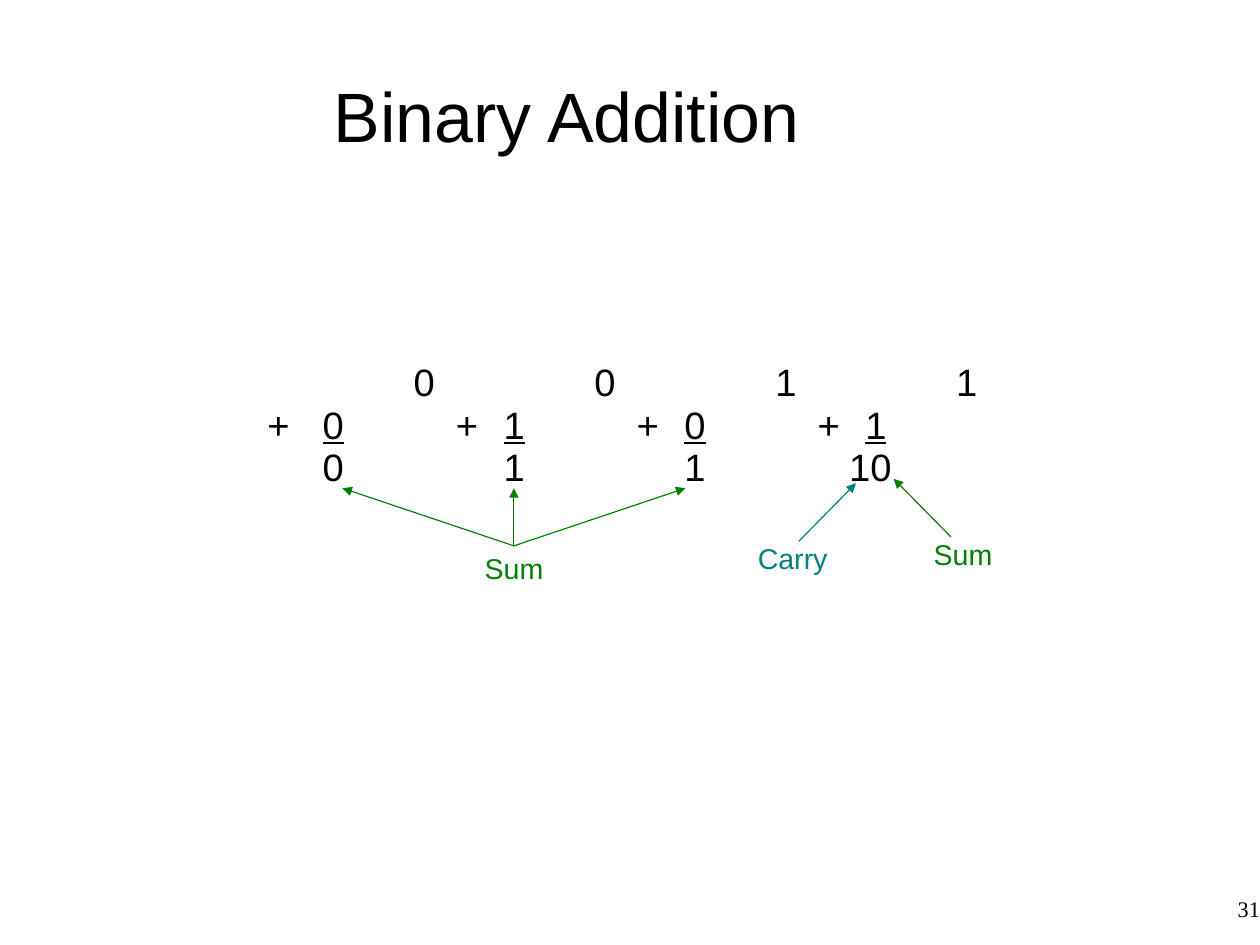
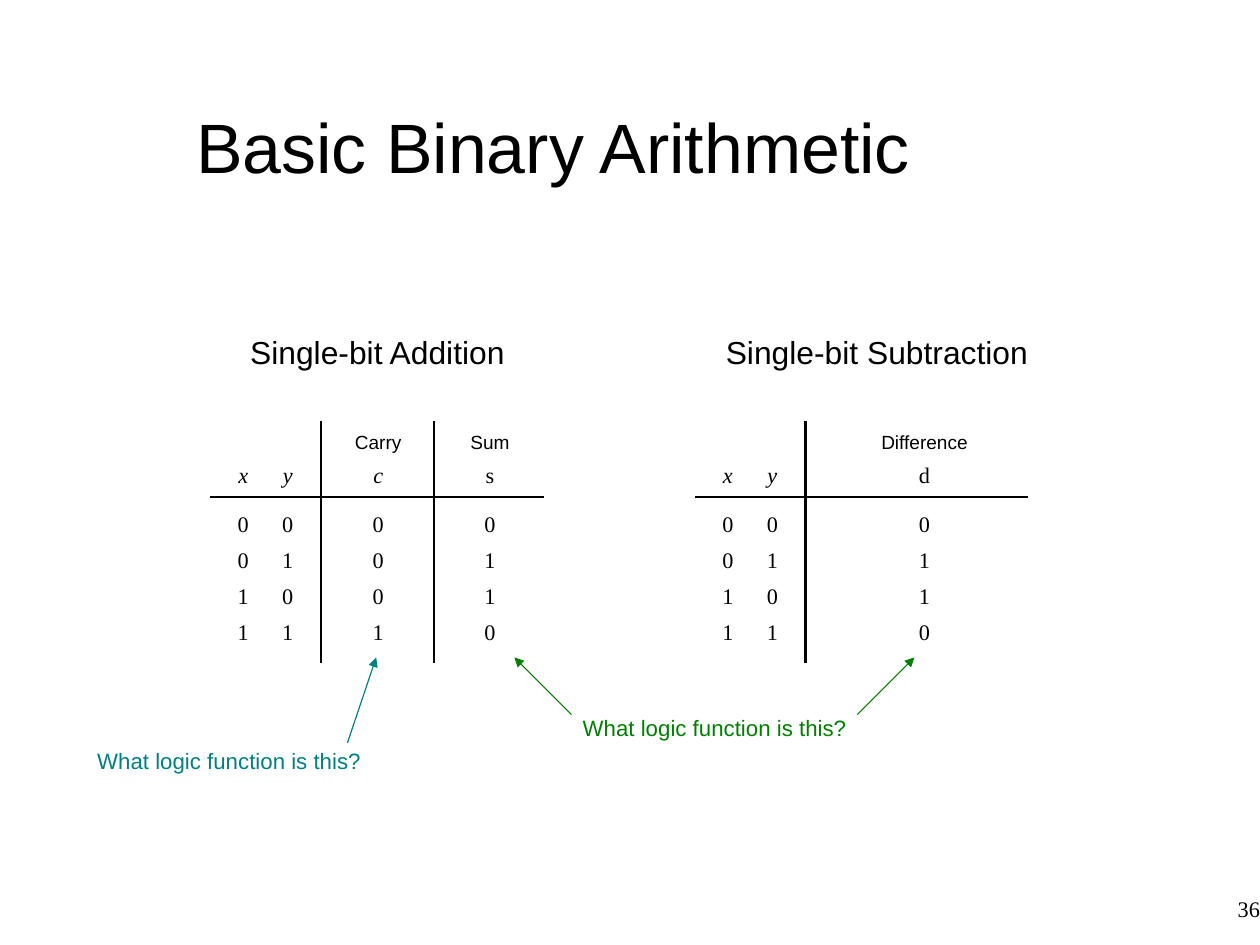
from dataclasses import dataclass

from lxml import etree
from pptx import Presentation
from pptx import util as u
from pptx.dml.color import RGBColor
from pptx.enum import shapes, text
from pptx.oxml.ns import qn

COLORS = {"ink": "000000", "sum": "008000", "carry": "008080"}
SANS, SERIF = "Arial", "Times New Roman"
NO_GRID = "{2D5ABB26-0587-4C30-8999-92F81FD0307C}"
HEADER_H = 1.7
BODY_H = (1.02, 0.8, 0.8, 1.06)
LABEL_INSETS = (0.25, 0.18, 0, 0.13)
ALIGN = text.PP_ALIGN


@dataclass(frozen=True)
class Label:
    text: str
    x: float
    y: float
    w: float
    h: float
    size: float
    color: str = "ink"


@dataclass(frozen=True)
class Line:
    start: tuple[float, float]
    end: tuple[float, float]
    color: str = "ink"
    width: float = 0.75
    arrow: bool = True


@dataclass(frozen=True)
class Column:
    symbol: str
    bits: str
    width: float
    caption: str = ""
    shift: float = 0
    italic: bool = False
    ruled: bool = False


def rgb(name: str) -> RGBColor:
    return RGBColor.from_string(COLORS[name])


def write(tf, content: str, *, size: float, font: str = SANS, color: str = "ink",
          align=ALIGN.LEFT, spacing: float = 0.93, italic: bool = False,
          before: float = 0, tabs: tuple[float, ...] = ()):
    p = tf.paragraphs[0]
    if p.runs:
        p = tf.add_paragraph()
    if tabs:
        tab_list = etree.SubElement(p._p.get_or_add_pPr(), qn("a:tabLst"))
        for pos in tabs:
            etree.SubElement(tab_list, qn("a:tab"), pos=str(u.Cm(pos)), algn="l")
    p.alignment, p.line_spacing = align, spacing
    if before:
        p.space_before = u.Pt(before)
    for i, part in enumerate(content.split("_")):
        if part:
            r = p.add_run()
            r.text = part
            r.font.name, r.font.size = font, u.Pt(size)
            r.font.italic, r.font.underline = italic, i % 2 == 1
            r.font.color.rgb = rgb(color)


def add_box(s, x: float, y: float, w: float, h: float,
            insets: tuple[float, ...] = (0, 0, 0, 0)):
    sp = s.shapes.add_textbox(u.Cm(x), u.Cm(y), u.Cm(w), u.Cm(h))
    tf = sp.text_frame
    tf.word_wrap = True
    tf.margin_left, tf.margin_top, tf.margin_right, tf.margin_bottom = map(u.Cm, insets)
    return sp


def add_label(s, label: Label):
    sp = add_box(s, label.x, label.y, label.w, label.h, LABEL_INSETS)
    write(sp.text_frame, label.text, size=label.size, color=label.color)
    return sp


def add_line(s, line: Line):
    cn = s.shapes.add_connector(shapes.MSO_CONNECTOR.STRAIGHT,
                                *map(u.Cm, line.start + line.end))
    cn.line.color.rgb = rgb(line.color)
    cn.line.width = u.Pt(line.width)
    if line.arrow:
        etree.SubElement(cn.line._get_or_add_ln(), qn("a:tailEnd"), type="triangle")
    etree.SubElement(cn._element.spPr, qn("a:effectLst"))
    return cn


def add_slide(prs, title: str, number: int, y: float, w: float, h: float):
    s = prs.slides.add_slide(prs.slide_layouts[6])
    tf = add_box(s, 0, y, w, h, (0, 0.1, 0, 0)).text_frame
    tf.vertical_anchor = text.MSO_ANCHOR.MIDDLE
    write(tf, title, size=44, align=ALIGN.CENTER)
    tf = add_box(s, 21.48, 19.93, 6.52, 1.45).text_frame
    write(tf, str(number), size=14, font=SERIF, align=ALIGN.RIGHT, spacing=0.95)
    return s


def add_rule(s, start: tuple[float, float], end: tuple[float, float]):
    add_line(s, Line(start, end, width=1.59, arrow=False))


def add_truth_table(s, x: float, y: float, columns: list[Column]):
    heights = (HEADER_H, *BODY_H)
    width, height = sum(col.width for col in columns), sum(heights)
    table = s.shapes.add_table(len(heights), len(columns), u.Cm(x), u.Cm(y),
                               u.Cm(width), u.Cm(height)).table
    table.first_row = table.horz_banding = False
    table._tbl.tblPr.find(qn("a:tableStyleId")).text = NO_GRID
    for row, row_h in zip(table.rows, heights):
        row.height = u.Cm(row_h)
    add_rule(s, (x, y + HEADER_H), (x + width, y + HEADER_H))
    right = x
    for c, col in enumerate(columns):
        table.columns[c].width = u.Cm(col.width)
        right += col.width
        if col.ruled:
            add_rule(s, (right, y), (right, y + height))
        for r, symbol in enumerate(col.symbol + col.bits):
            cell = table.cell(r, c)
            cell.fill.background()
            cell.margin_left = u.Cm(max(0, 2 * col.shift))
            cell.margin_right = u.Cm(max(0, -2 * col.shift))
            cell.margin_top = u.Cm(0.36 if r == 1 else 0.15)
            cell.margin_bottom = u.Cm(0 if r else 0.21)
            cell.vertical_anchor = text.MSO_ANCHOR.TOP if r else text.MSO_ANCHOR.BOTTOM
            captioned = r == 0 and col.caption
            if captioned:
                write(cell.text_frame, col.caption, size=12, align=ALIGN.CENTER)
            write(cell.text_frame, symbol, size=14, font=SERIF, align=ALIGN.CENTER,
                  spacing=0.95, italic=col.italic and r == 0,
                  before=7 if captioned else 0)


def build_addition(prs):
    s = add_slide(prs, "Binary Addition", 31, 0.97, 25.2, 3.25)
    pitch = 4.02
    top = tuple(3.25 + pitch * k for k in range(4))
    digits = tuple(1.23 + pitch * k for k in range(4))
    pluses = tuple(0.17 + pitch * k for k in range(1, 4))
    tf = add_box(s, 5.69, 7.88, 17, 3.07, LABEL_INSETS).text_frame
    for line, tabs in (
        ("\t0\t0\t1\t1", top),
        ("+\t_0_\t+\t_1_\t+\t_0_\t+\t_1_", tuple(sorted(digits + pluses))),
        ("\t0\t1\t1\t10", (*digits[:3], 12.93)),
    ):
        write(tf, line, size=24, tabs=tabs)

    shared_sum = add_label(s, Label("Sum", 10.52, 12.13, 1.8, 0.97, 18, "sum"))
    for k in (-1, 0, 1):
        cn = add_line(s, Line((11.42, 12.13), (11.42 + 3.81 * k, 10.85), "sum"))
        cn.begin_connect(shared_sum, 0)
    add_label(s, Label("Carry", 16.59, 11.91, 2.03, 0.97, 18, "carry"))
    add_label(s, Label("Sum", 20.5, 11.81, 1.8, 0.97, 18, "sum"))
    add_line(s, Line((21.13, 11.93), (19.86, 10.64), "sum"))
    add_line(s, Line((17.75, 12.03), (19.02, 10.74), "carry"))


def build_arithmetic(prs):
    s = add_slide(prs, "Basic Binary Arithmetic", 36, 1.54, 24.6, 3.5)
    inputs = [
        Column("x", "0011", 1.23, shift=0.12, italic=True),
        Column("y", "0101", 1.23, shift=-0.12, italic=True, ruled=True),
    ]
    add_truth_table(s, 4.67, 9.35, inputs + [
        Column("c", "0001", 2.51, "Carry", shift=0.02, italic=True, ruled=True),
        Column("s", "0110", 2.44, "Sum", shift=0.03),
    ])
    add_truth_table(s, 15.44, 9.35, inputs + [
        Column("d", "0110", 4.95, "Difference", shift=0.17),
    ])
    question = "What logic function is this?"
    for label in (
        Label("Single-bit Addition", 5.31, 7.28, 6.15, 1.04, 20),
        Label("Single-bit Subtraction", 15.88, 7.28, 7.21, 1.04, 20),
        Label(question, 12.7, 15.74, 6.4, 0.81, 14, "sum"),
        Label(question, 1.91, 16.48, 6.4, 0.81, 14, "carry"),
    ):
        add_label(s, label)
    for arrow in (
        Line((12.7, 15.88), (11.43, 14.61), "sum"),
        Line((19.05, 15.88), (20.32, 14.61), "sum"),
        Line((7.72, 16.51), (8.36, 14.61), "carry"),
    ):
        add_line(s, arrow)


def main():
    prs = Presentation()
    prs.slide_width, prs.slide_height = u.Cm(28), u.Cm(21)
    build_addition(prs)
    build_arithmetic(prs)
    prs.save("out.pptx")


if __name__ == "__main__":
    main()
